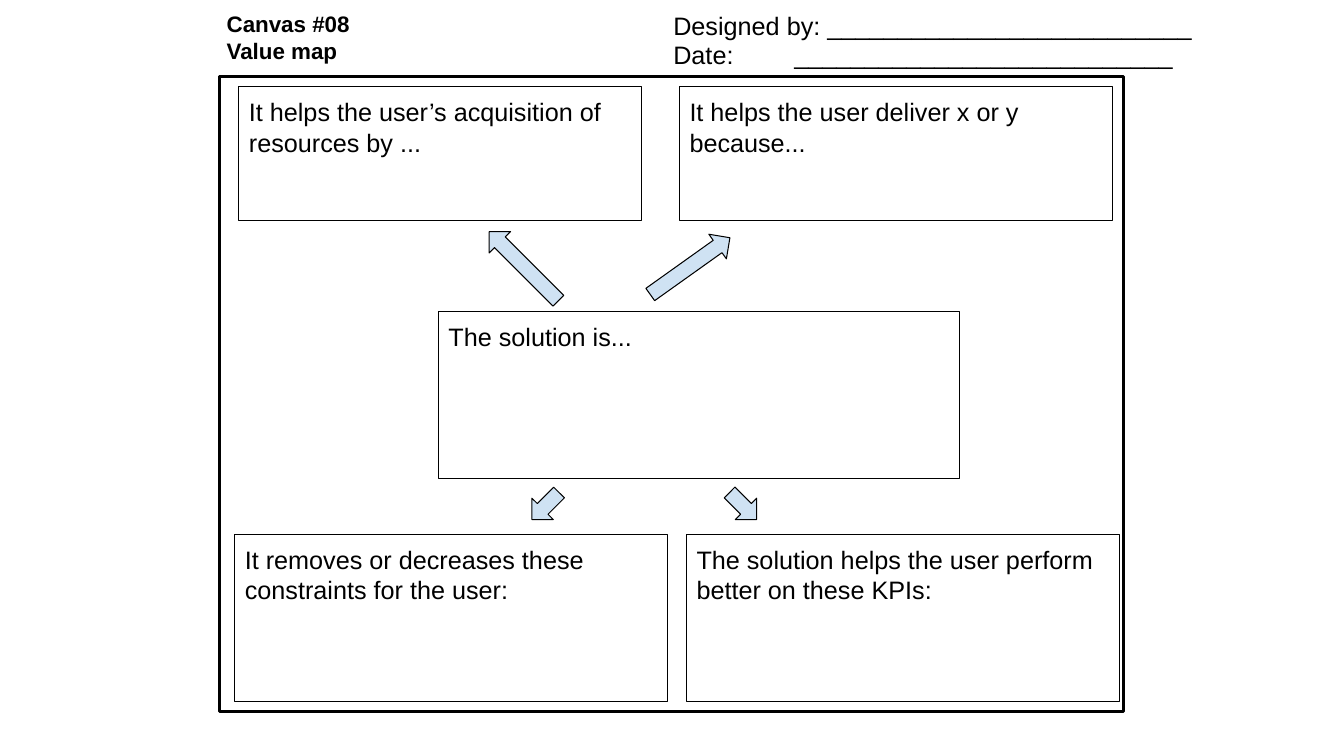
from lxml import etree
from pptx import Presentation
from pptx.dml.color import RGBColor
from pptx.enum.shapes import MSO_SHAPE
from pptx.enum.text import MSO_ANCHOR, PP_ALIGN
from pptx.oxml.ns import qn
from pptx.util import Inches, Pt

RECT, ARROW = MSO_SHAPE.RECTANGLE, MSO_SHAPE.RIGHT_ARROW
TOP, LEFT = MSO_ANCHOR.TOP, PP_ALIGN.LEFT

THEME = {
    "font": "Arial", "title": 16, "body": 18,
    "ink": RGBColor(0, 0, 0), "arrow": RGBColor(0xCF, 0xE2, 0xF3),
    "thin": 0.75, "thick": 2.25, "inset": 0.1,
}

# Shared measures, in inches
WIDE, TALL, SHORT = 4.29, 1.66, 1.33
TOP_ROW, MIDDLE_ROW, BOTTOM_ROW = 0.86, 3.09, 5.3
ARROW_HEIGHT, LONG, STUB = 0.3, 0.97, 0.38
UPPER_ARROWS, LOWER_ARROWS = 2.49, 4.87
FIELD_LEFT, FIELD_STEP, DATE_TAB = 6.58, 0.29, 1.2

FRAME = (2.18, 0.76, 8.96, 6.3)
TITLE = ["Canvas #08", "Value map"]
FIELDS = ["Designed by: " + "_" * 26, "Date:\t" + "_" * 27]
BOXES = [
    ("The solution is...", (4.35, MIDDLE_ROW, 5.17, TALL)),
    ("It helps the user’s acquisition of resources by ...", (2.37, TOP_ROW, 3.99, SHORT)),
    ("It helps the user deliver x or y because...", (6.74, TOP_ROW, WIDE, SHORT)),
    ("It removes or decreases these constraints for the user:", (2.33, BOTTOM_ROW, WIDE, TALL)),
    ("The solution helps the user perform better on these KPIs:", (6.81, BOTTOM_ROW, WIDE, TALL)),
]
ARROWS = [  # left, top, length, rotation
    (4.71, UPPER_ARROWS, LONG, 225),
    (6.36, UPPER_ARROWS, LONG, 324.5),
    (7.18, LOWER_ARROWS, STUB, 45),
    (5.22, LOWER_ARROWS, STUB, 135),
]


def write(s, lines, size, bold=False):
    """Fill a shape with top-left text, one paragraph per line."""
    tf = s.text_frame
    tf.word_wrap = True
    tf.vertical_anchor = TOP
    tf.margin_left = tf.margin_right = Inches(THEME["inset"])
    tf.margin_top = tf.margin_bottom = Inches(THEME["inset"])
    for i, line in enumerate(lines):
        p = tf.add_paragraph() if i else tf.paragraphs[0]
        p.text = line
        p.alignment = LEFT
        p.font.name, p.font.size = THEME["font"], Pt(size)
        p.font.bold = bold
        p.font.color.rgb = THEME["ink"]


def add_text(slide, area, lines, size, bold=False):
    """Add a text box and return it."""
    s = slide.shapes.add_textbox(*map(Inches, area))
    write(s, lines, size, bold)
    return s


def add_outlined(slide, kind, area, weight, fill=None):
    """Add a black-outlined preset shape and return it."""
    s = slide.shapes.add_shape(kind, *map(Inches, area))
    s.shadow.inherit = False
    if fill is None:
        s.fill.background()
    else:
        s.fill.solid()
        s.fill.fore_color.rgb = fill
    s.line.color.rgb = THEME["ink"]
    s.line.width = Pt(weight)
    return s


def add_tab_stop(p, position):
    """Set one left tab stop on a paragraph."""
    tabs = etree.Element(qn("a:tabLst"))
    etree.SubElement(tabs, qn("a:tab"), pos=str(Inches(position)), algn="l")
    p._p.get_or_add_pPr().insert(0, tabs)


prs = Presentation()
prs.slide_width, prs.slide_height = Inches(13.33), Inches(7.5)
slide = prs.slides.add_slide(prs.slide_layouts[6])

add_outlined(slide, RECT, FRAME, THEME["thick"])
add_text(slide, (2.15, 0, 4.66, 0.74), TITLE, THEME["title"], bold=True)
for i, field in enumerate(FIELDS):
    s = add_text(slide, (FIELD_LEFT, i * FIELD_STEP, 6.03, 0.45), [field], THEME["body"])
    if "\t" in field:
        add_tab_stop(s.text_frame.paragraphs[0], DATE_TAB)
for prompt, area in BOXES:
    write(add_outlined(slide, RECT, area, THEME["thin"]), [prompt], THEME["body"])
for left, top, length, rotation in ARROWS:
    s = add_outlined(slide, ARROW, (left, top, length, ARROW_HEIGHT), THEME["thin"], THEME["arrow"])
    s.rotation = rotation

prs.save("out.pptx")
